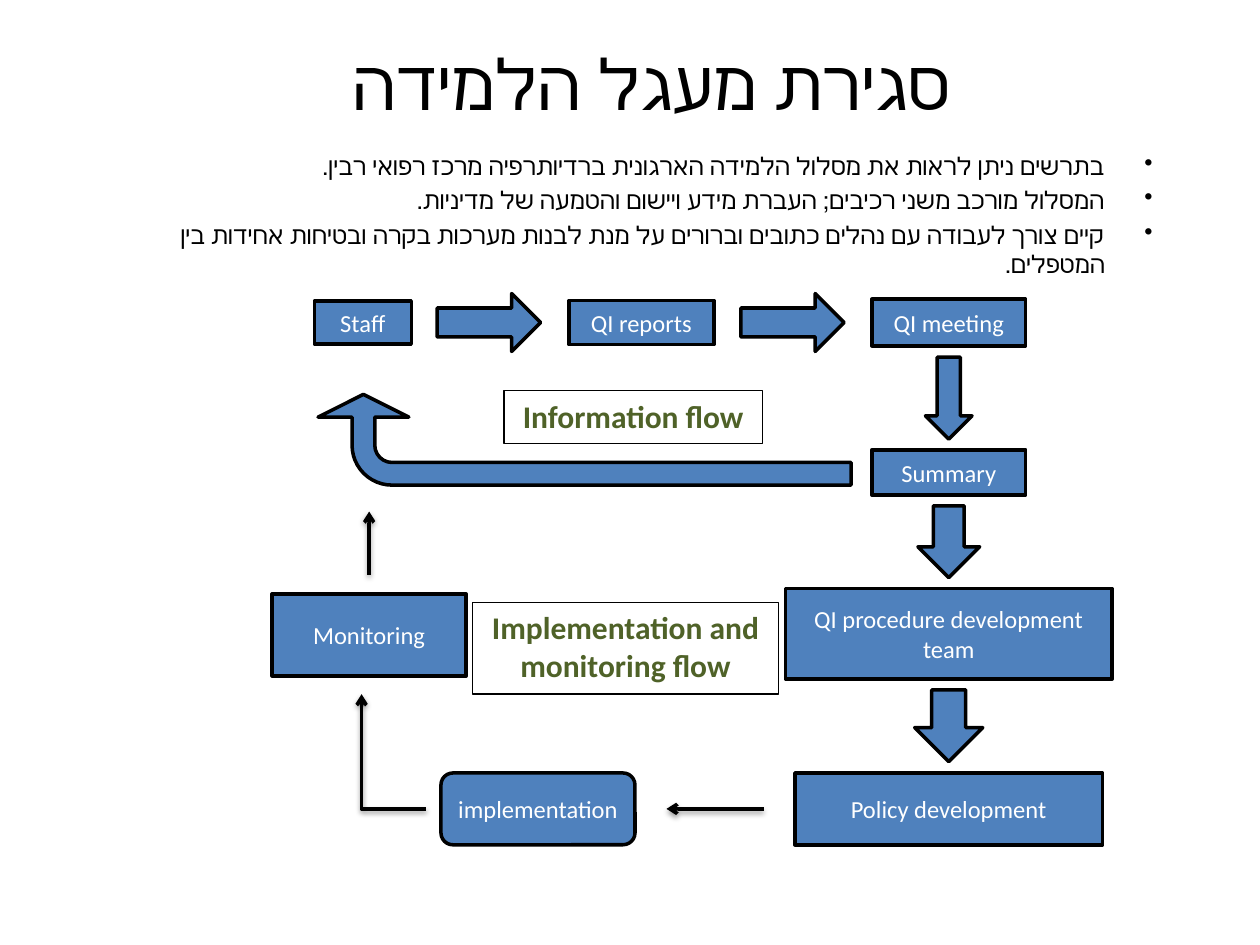
import pptx
import pptx.util
import pptx.oxml
import pptx.oxml.ns
import pptx.dml.color
import pptx.enum.shapes
import pptx.enum.text

Inches, Pt = pptx.util.Inches, pptx.util.Pt
SHAPE = pptx.enum.shapes.MSO_SHAPE
CONNECTOR = pptx.enum.shapes.MSO_CONNECTOR
ALIGN = pptx.enum.text.PP_ALIGN
ANCHOR = pptx.enum.text.MSO_ANCHOR

COLORS = {"black": "000000", "white": "FFFFFF", "blue": "4F81BD", "green": "4F6228"}
FONT = "Calibri"

TITLE = "סגירת מעגל הלמידה"
BULLETS = [
    "בתרשים ניתן לראות את מסלול הלמידה הארגונית ברדיותרפיה מרכז רפואי רבין.",
    "המסלול מורכב משני רכיבים; העברת מידע ויישום והטמעה של מדיניות.",
    "קיים צורך לעבודה עם נהלים כתובים וברורים על מנת לבנות מערכות בקרה ובטיחות אחידות בין המטפלים.",
]

# Axes that the flow parts are centred on
TOP_ROW, BOTTOM_ROW = 2.56, 6.42
LEFT_COLUMN, RIGHT_COLUMN = 2.93, 7.53

# Text, shape, centre x, centre y, width, height
STEPS = [
    ("Staff", SHAPE.FLOWCHART_PROCESS, 2.88, TOP_ROW, 0.77, 0.34),
    ("QI reports", SHAPE.FLOWCHART_PROCESS, 5.09, TOP_ROW, 1.15, 0.35),
    ("QI meeting", SHAPE.FLOWCHART_PROCESS, RIGHT_COLUMN, TOP_ROW, 1.22, 0.37),
    ("Summary", SHAPE.FLOWCHART_PROCESS, RIGHT_COLUMN, 3.75, 1.22, 0.36),
    ("QI procedure development team", SHAPE.FLOWCHART_PROCESS, RIGHT_COLUMN, 5.03, 2.59, 0.72),
    ("Policy development", SHAPE.FLOWCHART_PROCESS, RIGHT_COLUMN, BOTTOM_ROW, 2.44, 0.57),
    ("implementation", SHAPE.ROUNDED_RECTANGLE, 4.27, BOTTOM_ROW, 1.54, 0.57),
    ("Monitoring", SHAPE.RECTANGLE, LEFT_COLUMN, 5.04, 1.54, 0.65),
]
BLOCK_ARROWS = [
    (SHAPE.RIGHT_ARROW, 3.88, TOP_ROW, 0.82, 0.46),
    (SHAPE.RIGHT_ARROW, 6.29, TOP_ROW, 0.82, 0.46),
    (SHAPE.DOWN_ARROW, RIGHT_COLUMN, 3.16, 0.37, 0.65),
    (SHAPE.DOWN_ARROW, RIGHT_COLUMN, 4.3, 0.49, 0.57),
    (SHAPE.DOWN_ARROW, RIGHT_COLUMN, 5.76, 0.54, 0.57),
]
# Kind, start x, start y, end x, end y
LINE_ARROWS = [
    (CONNECTOR.STRAIGHT, 6.06, BOTTOM_ROW, 5.29, BOTTOM_ROW),
    (CONNECTOR.ELBOW, 3.38, BOTTOM_ROW, 2.87, 5.51),
    (CONNECTOR.STRAIGHT, LEFT_COLUMN, 4.56, LEFT_COLUMN, 4.06),
]
# Text, left, top, width, height
FLOW_LABELS = [
    ("Information flow", 4, 3.1, 2.05, 0.42),
    ("Implementation and monitoring flow", 3.75, 4.78, 2.43, 0.73),
]


def rgb(name):
    return pptx.dml.color.RGBColor.from_string(COLORS[name])


def write(paragraph, text, size, color, align=ALIGN.CENTER, bold=False):
    paragraph.alignment = align
    run = paragraph.add_run()
    run.text = text
    run.font.name = FONT
    run.font.size = Pt(size)
    run.font.bold = bold
    run.font.color.rgb = rgb(color)


def set_line(shape, width):
    shape.line.color.rgb = rgb("black")
    shape.line.width = Pt(width)


def add_block(slide, kind, center_x, center_y, width, height):
    shape = slide.shapes.add_shape(
        kind, Inches(center_x - width / 2), Inches(center_y - height / 2),
        Inches(width), Inches(height))
    shape.shadow.inherit = False
    shape.fill.solid()
    shape.fill.fore_color.rgb = rgb("blue")
    set_line(shape, 2)
    return shape


def add_line_arrow(slide, kind, *ends):
    connector = slide.shapes.add_connector(kind, *[Inches(end) for end in ends])
    set_line(connector, 2)
    namespace = pptx.oxml.ns.nsdecls("a")
    properties = connector._element.spPr
    if kind == CONNECTOR.ELBOW:  # a single corner
        properties.find(pptx.oxml.ns.qn("a:prstGeom")).set("prst", "bentConnector2")
    properties.find(pptx.oxml.ns.qn("a:ln")).append(
        pptx.oxml.parse_xml(f'<a:tailEnd {namespace} type="arrow"/>'))
    properties.append(pptx.oxml.parse_xml(
        f'<a:effectLst {namespace}><a:outerShdw blurRad="{Pt(3.1)}" dist="{Pt(1.6)}" '
        f'dir="5400000" rotWithShape="0"><a:srgbClr val="{COLORS["black"]}">'
        '<a:alpha val="38000"/></a:srgbClr></a:outerShdw></a:effectLst>'))


def add_bullets(slide):
    box = slide.shapes.add_textbox(Inches(0.5), Inches(1.15), Inches(8.75), Inches(0.92))
    frame = box.text_frame
    frame.word_wrap = True
    for index, text in enumerate(BULLETS):
        paragraph = frame.add_paragraph() if index else frame.paragraphs[0]
        properties = paragraph._p.get_or_add_pPr()
        properties.set("marL", str(Inches(0.38)))
        properties.set("indent", str(-Inches(0.38)))
        properties.set("rtl", "1")
        properties.append(pptx.oxml.parse_xml(
            f'<a:buChar {pptx.oxml.ns.nsdecls("a")} char="•"/>'))
        if index:
            paragraph.space_before = Pt(2.8)
        write(paragraph, text, 14, "black", ALIGN.RIGHT)


def main():
    presentation = pptx.Presentation()
    presentation.slide_width, presentation.slide_height = Inches(10), Inches(7.5)
    slide = presentation.slides.add_slide(presentation.slide_layouts[5])

    # Title and bullets
    title = slide.shapes.title
    title.left, title.top = Inches(0.67), Inches(0.03)
    title.width, title.height = Inches(9), Inches(1.25)
    title.text_frame.vertical_anchor = ANCHOR.MIDDLE
    write(title.text_frame.paragraphs[0], TITLE, 40, "black")
    add_bullets(slide)

    # Steps of the flow
    for text, *placement in STEPS:
        frame = add_block(slide, *placement).text_frame
        frame.word_wrap = True
        frame.vertical_anchor = ANCHOR.MIDDLE
        write(frame.paragraphs[0], text, 14, "white")

    # Arrows between the steps
    for placement in BLOCK_ARROWS:
        add_block(slide, *placement)
    return_arrow = add_block(slide, SHAPE.BENT_ARROW, 4.64, 3.49, 0.72, 4.23)
    return_arrow.rotation = 270
    for index, value in enumerate((0.25, 0.5, 0.25, 0.44)):
        return_arrow.adjustments[index] = value
    for placement in LINE_ARROWS:
        add_line_arrow(slide, *placement)

    # Names of the two flows
    for text, *placement in FLOW_LABELS:
        label = slide.shapes.add_textbox(*[Inches(value) for value in placement])
        set_line(label, 0.75)
        label.text_frame.word_wrap = True
        write(label.text_frame.paragraphs[0], text, 18, "green", bold=True)

    presentation.save("out.pptx")


if __name__ == "__main__":
    main()
